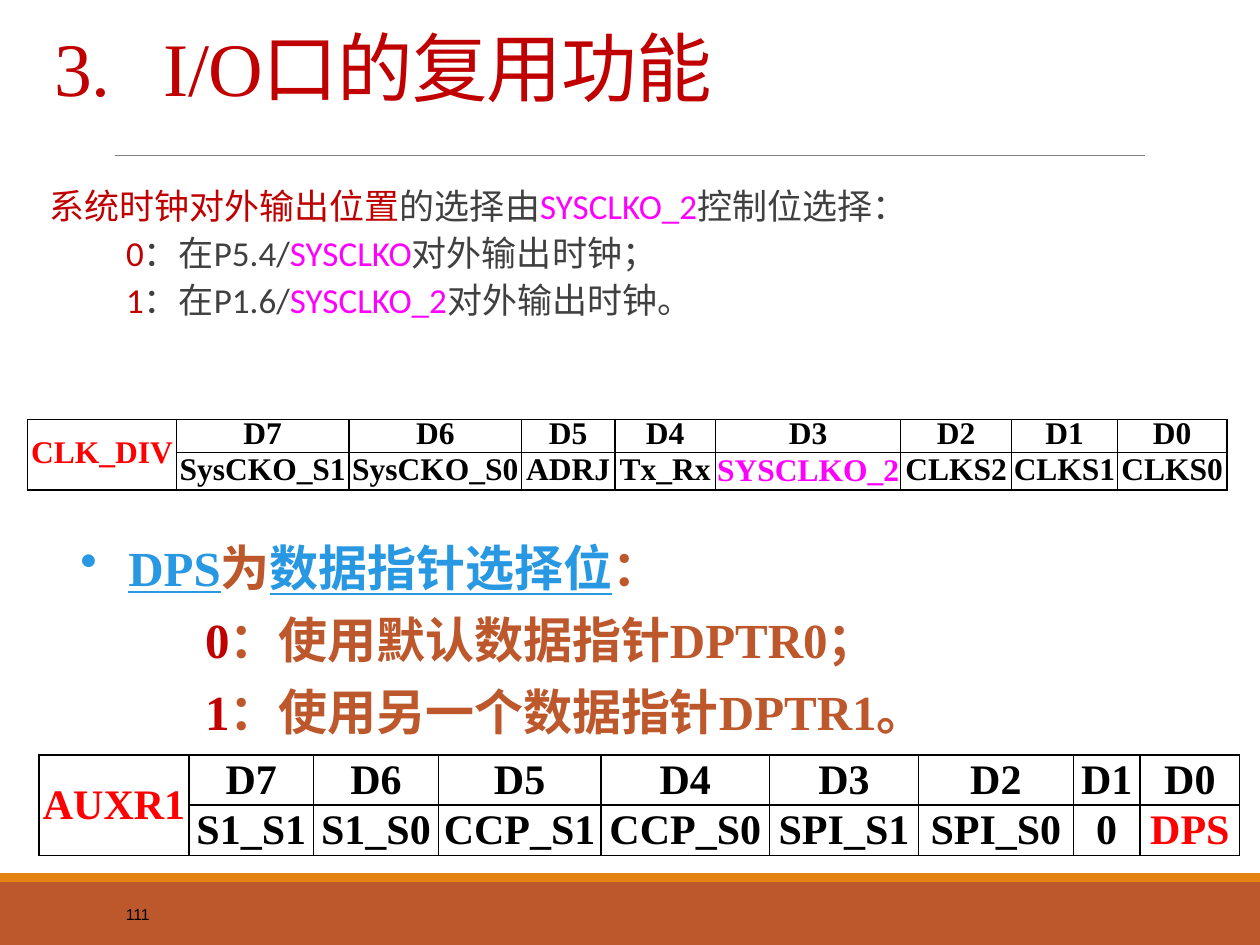
from dataclasses import dataclass

from lxml.etree import SubElement
from pptx import Presentation
from pptx.dml.color import RGBColor
from pptx.enum.shapes import MSO_CONNECTOR, MSO_SHAPE
from pptx.enum.text import MSO_ANCHOR, MSO_AUTO_SIZE, PP_ALIGN
from pptx.oxml.ns import qn
from pptx.util import Inches, Pt


@dataclass(frozen=True)
class Theme:
    rust: str = "BD582C"
    orange: str = "E48312"
    rule: str = "808080"
    dark_red: str = "C00000"
    red: str = "FF0000"
    magenta: str = "FF00FF"
    blue: str = "2998E3"
    gray: str = "404040"
    black: str = "000000"
    white: str = "FFFFFF"
    serif: str = "Times New Roman"
    sans: str = "Calibri"
    footer_font: str = "Arial"
    title_size: float = 43.2
    body_size: float = 20
    large_size: float = 28
    small_table_size: float = 18
    large_table_size: float = 24
    footer_size: float = 9


T = Theme()
COLUMNS, ROWS = 100, 75


class SlideBuilder:
    """Places elements on a grid of 100 columns by 75 rows."""

    def __init__(self, prs):
        self.cell_w = prs.slide_width / COLUMNS
        self.cell_h = prs.slide_height / ROWS
        self.s = prs.slides.add_slide(prs.slide_layouts[5])

    def x(self, columns):
        return round(columns * self.cell_w)

    def y(self, rows):
        return round(rows * self.cell_h)

    def box(self, left, top, width, height):
        return self.x(left), self.y(top), self.x(width), self.y(height)

    def run(self, p, text, color, size, font, bold=False, underline=False):
        r = p.add_run()
        r.text = text
        r.font.size, r.font.name = Pt(size), font
        r.font.bold, r.font.underline = bold, underline
        r.font.color.rgb = RGBColor.from_string(color)
        return r

    def band(self, at, color):
        sp = self.s.shapes.add_shape(MSO_SHAPE.RECTANGLE, *self.box(*at))
        sp.shadow.inherit = False
        sp.fill.solid()
        sp.fill.fore_color.rgb = RGBColor.from_string(color)
        sp.line.fill.background()

    def rule(self, left, right, row):
        line = self.s.shapes.add_connector(
            MSO_CONNECTOR.STRAIGHT, self.x(left), self.y(row), self.x(right), self.y(row))
        line.line.color.rgb = RGBColor.from_string(T.rule)
        line.line.width = Pt(0.5)
        SubElement(line._element.spPr, qn("a:effectLst"))

    def title(self, at, number, text, tab):
        sp = self.s.shapes.title
        sp.left, sp.top, sp.width, sp.height = self.box(*at)
        tf = sp.text_frame
        tf.auto_size = MSO_AUTO_SIZE.NONE
        tf.vertical_anchor = MSO_ANCHOR.BOTTOM
        p = tf.paragraphs[0]
        p.alignment, p.line_spacing = PP_ALIGN.LEFT, 0.85
        tabs = SubElement(p._p.get_or_add_pPr(), qn("a:tabLst"))
        SubElement(tabs, qn("a:tab"), pos=str(self.x(tab)), algn="l")
        r = self.run(p, f"{number}\t{text}", T.dark_red, T.title_size, T.serif)
        r._r.get_or_add_rPr().set("spc", "-50")

    def text(self, at, paragraphs, size, font, bold=False, margin=0, first_indent=0,
             indent=0, after=0, spacing=1.0, bullet=None, inset=1,
             anchor=MSO_ANCHOR.TOP):
        """Each paragraph is a list of (text, color[, underline]) runs."""
        tf = self.s.shapes.add_textbox(*self.box(*at)).text_frame
        tf.word_wrap = True
        tf.vertical_anchor = anchor
        tf.margin_left = tf.margin_right = self.x(inset)
        for i, runs in enumerate(paragraphs):
            p = tf.add_paragraph() if i else tf.paragraphs[0]
            p.line_spacing, p.space_after = spacing, Pt(after)
            pPr = p._p.get_or_add_pPr()
            pPr.set("marL", str(self.x(margin)))
            pPr.set("indent", str(self.x(indent if i else first_indent)))
            if bullet and i == 0:
                SubElement(pPr, qn("a:buChar"), char=bullet)
            for words, color, *underline in runs:
                self.run(p, words, color, size, font, bold, bool(underline))

    def border(self, cell):
        tcPr = cell._tc.get_or_add_tcPr()
        for side in ("lnL", "lnR", "lnT", "lnB"):
            ln = SubElement(tcPr, qn(f"a:{side}"), w=str(Pt(1)))
            SubElement(SubElement(ln, qn("a:solidFill")), qn("a:srgbClr"), val=T.black)

    def register(self, left, top, widths, heights, name, fields, size, marked,
                 spacing=1.0, fill=None):
        """Draws a register: its name, bits D7 to D0 and one field per bit."""
        at = self.box(left, top, sum(widths), sum(heights))
        table = self.s.shapes.add_table(2, len(widths), *at).table
        table.first_row = table.horz_banding = False
        for column, width in zip(table.columns, widths):
            column.width = self.x(width)
        for row, height in zip(table.rows, heights):
            row.height = self.y(height)
        bits = [f"D{n}" for n in reversed(range(8))]
        for r, texts in enumerate(([name, *bits], ["", *fields])):
            for c, words in enumerate(texts):
                cell = table.cell(r, c)
                cell.margin_left = cell.margin_right = 0
                cell.margin_top = cell.margin_bottom = 0
                cell.vertical_anchor = MSO_ANCHOR.MIDDLE
                self.border(cell)
                if fill:
                    cell.fill.solid()
                    cell.fill.fore_color.rgb = RGBColor.from_string(fill)
                else:
                    cell.fill.background()
                if words:
                    p = cell.text_frame.paragraphs[0]
                    p.alignment = PP_ALIGN.CENTER
                    p.line_spacing = 1.0 if words in marked else spacing
                    color = T.red if words == name else marked.get(words, T.black)
                    self.run(p, words, color, size, T.serif, bold=True)
        table.cell(0, 0).merge(table.cell(1, 0))


def main():
    prs = Presentation()
    prs.slide_width, prs.slide_height = Inches(10), Inches(7.5)
    b = SlideBuilder(prs)

    # Footer bands and title rule
    b.band((0, 70, 100, 5), T.rust)
    b.band((0, 69.3, 100, 0.7), T.orange)
    b.rule(9.1, 90.9, 12.3)

    # Title and slide number
    b.title((3.3, 2.3, 90, 7.1), "3.", "I/O口的复用功能", tab=8.7)
    b.text((9, 70.6, 20.3, 4), [[("111", T.black)]], T.footer_size, T.footer_font,
           anchor=MSO_ANCHOR.MIDDLE)

    # Clock output selection
    b.text((2.9, 14, 97.1, 13), [
        [("系统时钟对外输出位置", T.dark_red), ("的选择由", T.gray),
         ("SYSCLKO_2", T.magenta), ("控制位选择：", T.gray)],
        [("0", T.dark_red), ("：在P5.4/", T.gray),
         ("SYSCLKO", T.magenta), ("对外输出时钟；", T.gray)],
        [("1", T.dark_red), ("：在P1.6/", T.gray),
         ("SYSCLKO_2", T.magenta), ("对外输出时钟。", T.gray)],
    ], T.body_size, T.sans, margin=1, indent=6.1, after=2, spacing=1.04, inset=0)
    b.register(2.2, 33.3, [11.8, 13.7, 13.7, 7.4, 8, 14.7, 8.8, 8.4, 8.7], [2.6, 3],
               "CLK_DIV", ["SysCKO_S1", "SysCKO_S0", "ADRJ", "Tx_Rx",
                           "SYSCLKO_2", "CLKS2", "CLKS1", "CLKS0"],
               T.small_table_size, {"SYSCLKO_2": T.magenta}, spacing=0.85, fill=T.white)

    # Data pointer selection
    b.text((5.4, 42, 87.5, 17.7), [
        [("DPS", T.blue, True), ("为", T.rust),
         ("数据指针选择位", T.blue, True), ("：", T.rust)],
        [("0", T.dark_red), ("：使用默认数据指针DPTR0；", T.rust)],
        [("1", T.dark_red), ("：使用另一个数据指针DPTR1。", T.rust)],
    ], T.large_size, T.serif, bold=True, margin=3.8, first_indent=-3.8, indent=6.1,
        after=6, spacing=1.04, bullet="•")
    b.register(3.1, 59.9, [11.9, 9.9, 9.9, 12.9, 13.4, 11.8, 12.3, 5.3, 7.9], [4, 4],
               "AUXR1", ["S1_S1", "S1_S0", "CCP_S1", "CCP_S0",
                         "SPI_S1", "SPI_S0", "0", "DPS"],
               T.large_table_size, {"DPS": T.red})

    prs.save("out.pptx")


if __name__ == "__main__":
    main()
